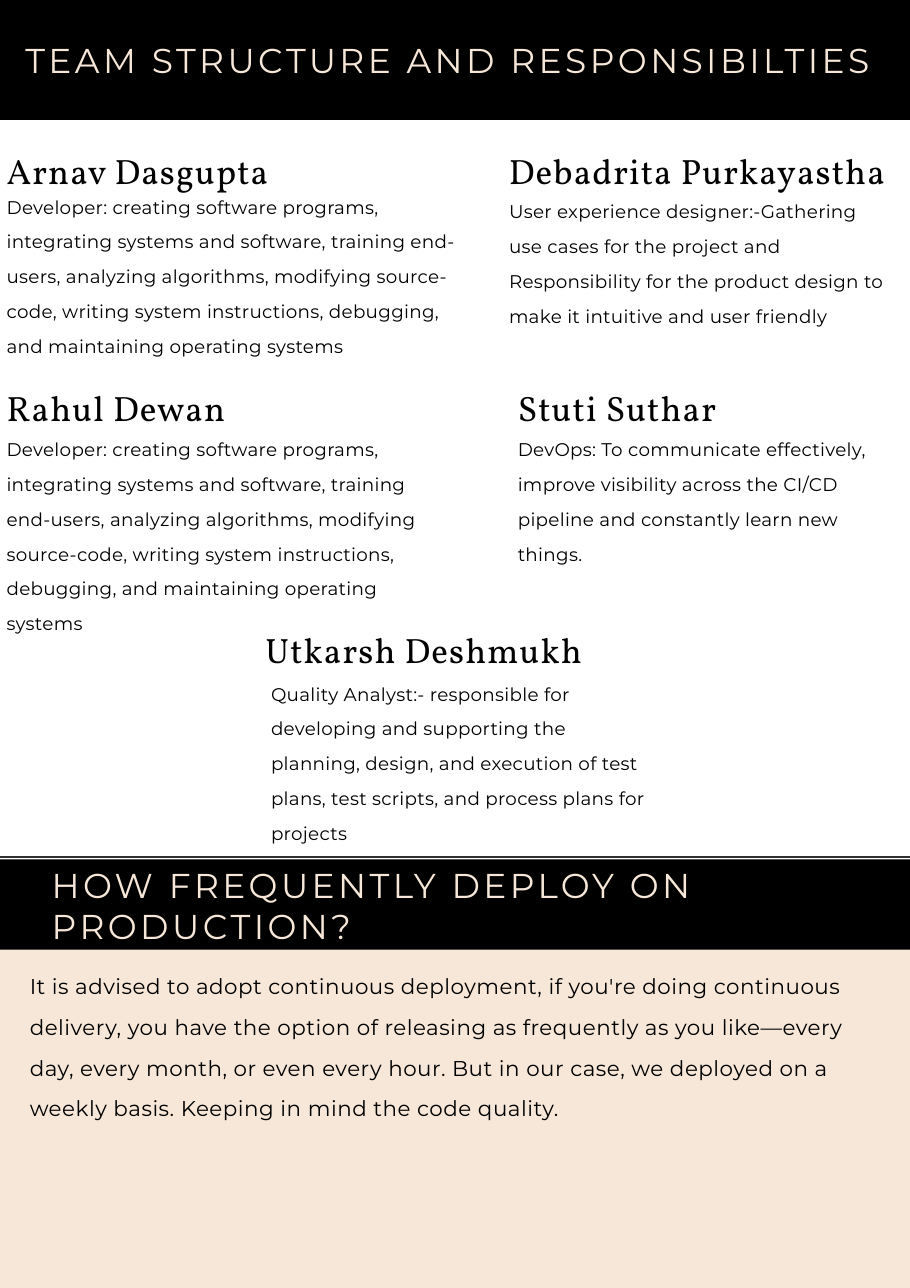
from dataclasses import dataclass

from lxml.etree import SubElement
from pptx import Presentation
from pptx.dml.color import RGBColor
from pptx.enum.shapes import MSO_CONNECTOR, MSO_SHAPE
from pptx.enum.text import MSO_ANCHOR, MSO_AUTO_SIZE, PP_ALIGN
from pptx.oxml.ns import qn
from pptx.shapes.autoshape import Shape
from pptx.slide import Slide
from pptx.util import Inches, Pt

BLACK = "000000"
CREAM = "F6E7D8"
RULE_GREY = "303030"


@dataclass(frozen=True)
class TextStyle:
    font: str
    size: float
    line_spacing: float
    tracking: float
    color: str = BLACK


@dataclass(frozen=True)
class Box:
    left: float
    top: float
    width: float
    height: float


@dataclass(frozen=True)
class Member:
    name: str
    duties: str
    name_box: Box
    duties_box: Box


HEADING = TextStyle("Montserrat", 22.5, 27, 2.2, CREAM)
NAME = TextStyle("Vollkorn", 23, 32.2, 0.7)
DUTIES = TextStyle("Montserrat", 12, 22.8, 0.2)
ANSWER = TextStyle("Montserrat", 14, 26.6, 0.3)

DEVELOPER_DUTIES = (
    "Developer: creating software programs, integrating systems and software, "
    "training end-users, analyzing algorithms, modifying source-code, writing "
    "system instructions, debugging, and maintaining operating systems"
)

MEMBERS = [
    Member("Arnav Dasgupta", DEVELOPER_DUTIES,
           Box(0.06, 1.29, 3.45, 0.44), Box(0.06, 1.66, 4.18, 1.84)),
    Member("Debadrita Purkayastha",
           "User experience designer:-Gathering use cases for the project and "
           "Responsibility for the product design to make it intuitive and user friendly",
           Box(4.62, 1.29, 3.76, 0.44), Box(4.62, 1.7, 3.45, 1.22)),
    Member("Rahul Dewan", DEVELOPER_DUTIES,
           Box(0.06, 3.44, 3.45, 0.44), Box(0.06, 3.86, 4.07, 1.84)),
    Member("Stuti Suthar",
           "DevOps: To communicate effectively, improve visibility across the "
           "CI/CD pipeline and constantly learn new things.",
           Box(4.7, 3.44, 3.45, 0.44), Box(4.7, 3.86, 3.45, 1.22)),
    Member("Utkarsh Deshmukh",
           "Quality Analyst:- responsible for developing and supporting the "
           "planning, design, and execution of test plans, test scripts, and "
           "process plans for projects",
           Box(2.41, 5.64, 3.45, 0.44), Box(2.46, 6.08, 3.45, 1.53)),
]

DEPLOYMENT_ANSWER = (
    "It is advised to adopt continuous deployment, if you're doing continuous "
    "delivery, you have the option of releasing as frequently as you like—every "
    "day, every month, or even every hour. But in our case, we deployed on a "
    "weekly basis. Keeping in mind the code quality."
)


def rgb(color: str) -> RGBColor:
    return RGBColor.from_string(color)


def place(shape: Shape, box: Box) -> None:
    shape.left, shape.top = Inches(box.left), Inches(box.top)
    shape.width, shape.height = Inches(box.width), Inches(box.height)


def write_text(shape: Shape, text: str, style: TextStyle) -> None:
    frame = shape.text_frame
    frame.margin_left = frame.margin_right = frame.margin_top = frame.margin_bottom = 0
    frame.word_wrap = True
    frame.auto_size = MSO_AUTO_SIZE.SHAPE_TO_FIT_TEXT
    frame.vertical_anchor = MSO_ANCHOR.TOP
    paragraph = frame.paragraphs[0]
    paragraph.alignment = PP_ALIGN.LEFT
    paragraph.line_spacing = Pt(style.line_spacing)
    paragraph.space_before = Pt(0)
    paragraph.font.name = style.font
    paragraph.font.size = Pt(style.size)
    paragraph.font.color.rgb = rgb(style.color)
    run = paragraph.add_run()
    run.text = text
    run._r.get_or_add_rPr().set("spc", str(round(style.tracking * 100)))


def add_text(slide: Slide, box: Box, text: str, style: TextStyle) -> None:
    shape = slide.shapes.add_textbox(0, 0, 0, 0)
    place(shape, box)
    write_text(shape, text, style)


def add_band(slide: Slide, box: Box, color: str) -> None:
    band = slide.shapes.add_shape(MSO_SHAPE.RECTANGLE, 0, 0, 0, 0)
    place(band, box)
    band.shadow.inherit = False
    band.fill.solid()
    band.fill.fore_color.rgb = rgb(color)
    band.line.fill.background()


def add_rule(slide: Slide, top: float, right: float) -> None:
    rule = slide.shapes.add_connector(
        MSO_CONNECTOR.STRAIGHT, 0, Inches(top), Inches(right), Inches(top))
    rule.line.color.rgb = rgb(RULE_GREY)
    rule.line.width = Pt(1.5)
    SubElement(rule.element.spPr, qn("a:effectLst"))


def add_title(slide: Slide, box: Box, text: str) -> None:
    """Fill the title placeholder and bring it in front of its band."""
    title = slide.shapes.title
    place(title, box)
    write_text(title, text, HEADING)
    title.element.getparent().append(title.element)


def main() -> None:
    presentation = Presentation()
    presentation.slide_width = Inches(8.26)
    presentation.slide_height = Inches(11.69)
    slide = presentation.slides.add_slide(presentation.slide_layouts[5])

    add_band(slide, Box(0, -0.14, 8.26, 1.23), BLACK)
    add_title(slide, Box(0.23, 0.35, 7.76, 0.38), "TEAM STRUCTURE AND RESPONSIBILTIES")

    for member in MEMBERS:
        add_text(slide, member.name_box, member.name, NAME)
        add_text(slide, member.duties_box, member.duties, DUTIES)

    add_rule(slide, 7.78, 8.39)
    add_band(slide, Box(0, 7.8, 8.27, 3.89), CREAM)
    add_band(slide, Box(0, 7.8, 8.26, 0.82), BLACK)
    add_text(slide, Box(0.47, 7.84, 7.76, 0.74), "HOW FREQUENTLY DEPLOY ON PRODUCTION?", HEADING)
    add_text(slide, Box(0.27, 8.7, 7.72, 1.43), DEPLOYMENT_ANSWER, ANSWER)

    presentation.save("out.pptx")


if __name__ == "__main__":
    main()
